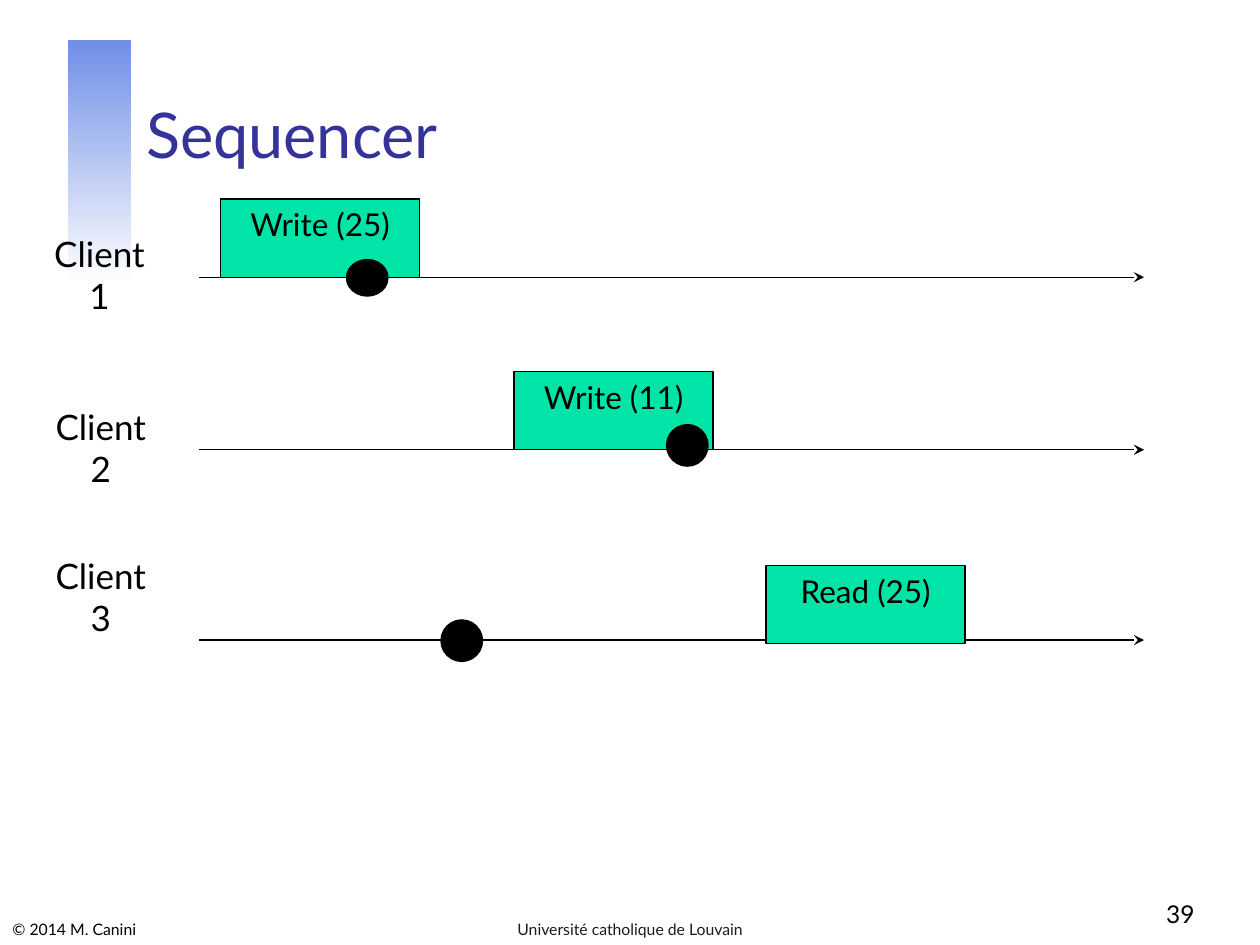
from lxml.etree import SubElement
from pptx import Presentation
from pptx.dml.color import RGBColor
from pptx.enum.shapes import MSO_CONNECTOR as Connector, MSO_SHAPE as Shape
from pptx.enum.text import MSO_ANCHOR as Anchor, PP_ALIGN as Align
from pptx.oxml.ns import qn
from pptx.util import Inches, Pt

BLACK = RGBColor(0, 0, 0)
WHITE = RGBColor(255, 255, 255)
GREEN = RGBColor(0x00, 0xE4, 0xA8)
BLUE = RGBColor(0x70, 0x8F, 0xE6)
INDIGO = RGBColor(0x33, 0x33, 0x99)
CHARCOAL = RGBColor(0x1C, 0x1C, 0x1C)

AXIS_LEFT, AXIS_RIGHT = 1.58, 9.08
OPERATION_SIZE = (1.58, 0.62)

CLIENTS = [
    {"label": ("Client 1", 0.26, 1.8), "axis": 2.2,
     "operation": ("Write (25)", 1.75, 1.58), "point": (2.75, 2.06, 0.33, 0.29)},
    {"label": ("Client 2", 0.27, 3.17), "axis": 3.57,
     "operation": ("Write (11)", 4.08, 2.95), "point": (5.29, 3.37, 0.33, 0.33)},
    {"label": ("Client 3", 0.27, 4.35), "axis": 5.08,
     "operation": ("Read (25)", 6.08, 4.49), "point": (3.5, 4.92, 0.33, 0.33)},
]

FOOTERS = [
    ("© 2014 M. Canini", (0, 7.22, 3.02, 0.28), 9, BLACK, Align.LEFT),
    ("Université catholique de Louvain", (3.42, 7.22, 3.16, 0.28), 9, CHARCOAL, Align.CENTER),
    ("39", (7.5, 6.92, 2.08, 0.5), 14, BLACK, Align.RIGHT),
]


def to_inches(box):
    """Convert a sequence of numbers to lengths."""
    return [Inches(value) for value in box]


def write_text(shape, text, size, color=BLACK, align=Align.CENTER, anchor=Anchor.TOP):
    """Set one formatted paragraph in a shape."""
    frame = shape.text_frame
    frame.word_wrap = True
    frame.vertical_anchor = anchor
    paragraph = frame.paragraphs[0]
    paragraph.alignment = align
    run = paragraph.add_run()
    run.text = text
    for name, value in {"name": "Lato", "size": Pt(size), "bold": False}.items():
        setattr(run.font, name, value)
    run.font.color.rgb = color


def add_text(slide, box, text, size, **formats):
    """Add a text box."""
    write_text(slide.shapes.add_textbox(*to_inches(box)), text, size, **formats)


def add_filled_shape(slide, kind, box, color):
    """Add a flat shape with a thin black outline."""
    shape = slide.shapes.add_shape(kind, *to_inches(box))
    shape.shadow.inherit = False
    shape.fill.solid()
    shape.fill.fore_color.rgb = color
    shape.line.color.rgb = BLACK
    shape.line.width = Pt(0.75)
    return shape


def add_accent(slide, box):
    """Add the vertical bar that fades to white."""
    bar = slide.shapes.add_shape(Shape.RECTANGLE, *to_inches(box))
    bar.shadow.inherit = False
    bar.line.fill.background()
    bar.fill.gradient()
    bar.fill.gradient_angle = 270
    for stop, color, position in zip(bar.fill.gradient_stops, (BLUE, WHITE), (0, 1)):
        stop.color.rgb = color
        stop.position = position


def add_title(slide, box, text):
    """Place and format the title placeholder."""
    title = slide.shapes.title
    title.left, title.top, title.width, title.height = to_inches(box)
    write_text(title, text, 36, color=INDIGO, align=Align.LEFT, anchor=Anchor.BOTTOM)


def add_time_axis(slide, left, right, y):
    """Add a horizontal time arrow."""
    axis = slide.shapes.add_connector(Connector.STRAIGHT, *to_inches((left, y, right, y)))
    axis.line.color.rgb = BLACK
    axis.line.width = Pt(0.75)
    SubElement(axis.line._get_or_add_ln(), qn("a:tailEnd"), type="stealth")
    SubElement(axis._element.spPr, qn("a:effectLst"))


def add_client(slide, label, axis, operation, point):
    """Add one client's label, time axis, operation and point."""
    name, left, top = label
    add_text(slide, (left, top, 1.06, 0.4), name, 20)
    add_time_axis(slide, AXIS_LEFT, AXIS_RIGHT, axis)
    text, left, top = operation
    block = add_filled_shape(slide, Shape.RECTANGLE, (left, top, *OPERATION_SIZE), GREEN)
    write_text(block, text, 18)
    add_filled_shape(slide, Shape.OVAL, point, BLACK)


def main():
    """Build and save the slide."""
    presentation = Presentation()
    presentation.slide_width, presentation.slide_height = to_inches((10, 7.5))
    slide = presentation.slides.add_slide(presentation.slide_layouts[5])
    add_accent(slide, (0.54, 0.32, 0.5, 1.93))
    add_title(slide, (1.06, 0.33, 8.52, 1.08), "Sequencer")
    for client in CLIENTS:
        add_client(slide, **client)
    for text, box, size, color, align in FOOTERS:
        add_text(slide, box, text, size, color=color, align=align, anchor=Anchor.BOTTOM)
    presentation.save("out.pptx")


if __name__ == "__main__":
    main()
